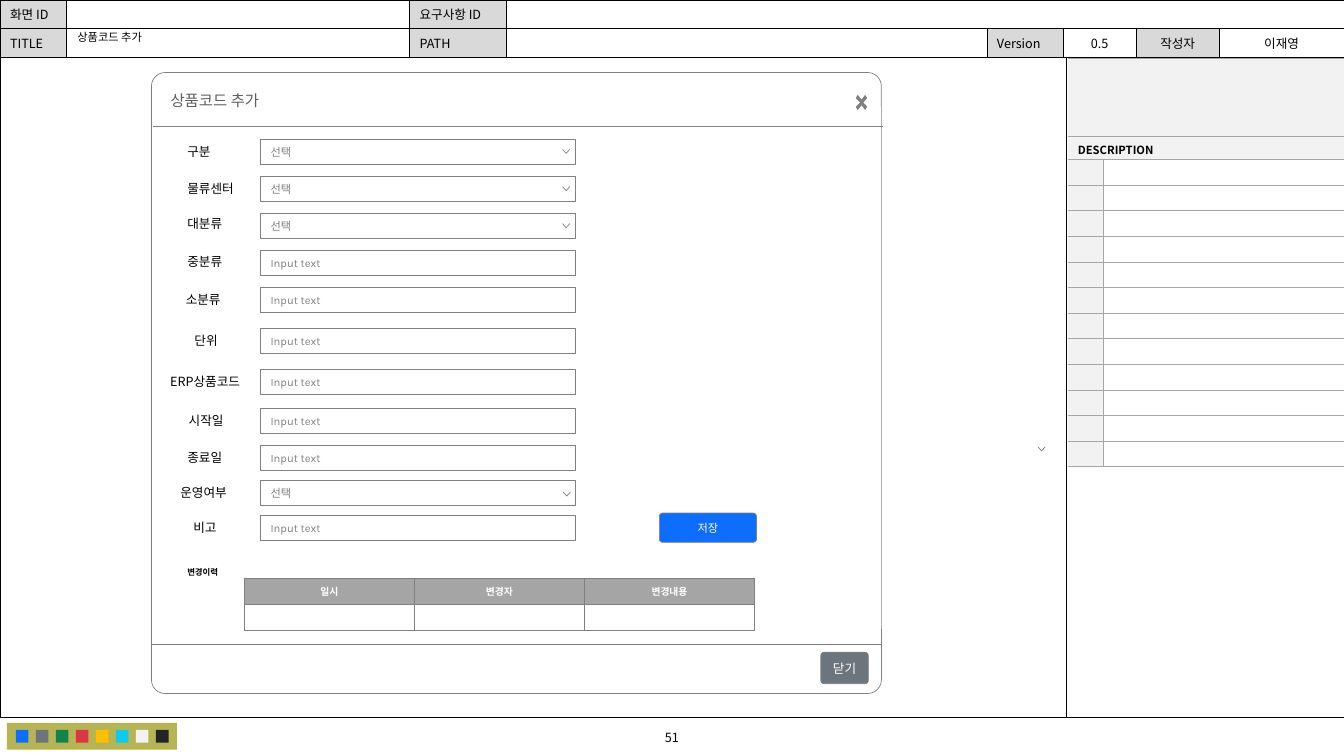
from dataclasses import dataclass

from lxml import etree
from pptx import Presentation
from pptx.dml.color import RGBColor
from pptx.enum.shapes import MSO_CONNECTOR, MSO_SHAPE
from pptx.enum.text import MSO_ANCHOR, PP_ALIGN
from pptx.oxml.ns import qn
from pptx.util import Pt

RECT, ROUND = MSO_SHAPE.RECTANGLE, MSO_SHAPE.ROUNDED_RECTANGLE
STRAIGHT = MSO_CONNECTOR.STRAIGHT
LEFT, CENTER = PP_ALIGN.LEFT, PP_ALIGN.CENTER
TOP, MIDDLE = MSO_ANCHOR.TOP, MSO_ANCHOR.MIDDLE
PLAIN_TABLE = "{2D5ABB26-0587-4C30-8999-92F81FD0307C}"


@dataclass(frozen=True)
class Theme:
    korean: str = "Noto Sans CJK KR"
    latin: str = "Karla"
    black: str = "000000"
    white: str = "FFFFFF"
    outline: str = "808080"
    heading: str = "5F5F5F"
    label_fill: str = "D9D9D9"
    pale: str = "F2F2F2"
    note_line: str = "A6A6A6"
    history_fill: str = "A5A5A5"
    blue: str = "0D6EFD"
    gray: str = "6C757D"
    olive: str = "B7B553"
    swatches: tuple = ("0D6EFD", "6C757D", "10834E", "DC3545",
                       "FFBE00", "0DCAF0", "F2F2F2", "212529")
    title: int = 11
    body: int = 9
    small: int = 8
    column: int = 7
    tiny: int = 6


theme = Theme()
deck = Presentation()
deck.slide_width, deck.slide_height = Pt(960), Pt(540)
page = deck.slides.add_slide(deck.slide_layouts[6])


def write(para, text, size, color=theme.black, align=LEFT, bold=False, face=theme.korean):
    para.alignment = align
    font = para.font
    font.name, font.size, font.bold = face, Pt(size), bold
    font.color.rgb = RGBColor.from_string(color)
    etree.SubElement(font._rPr, qn("a:ea"), typeface=theme.korean)
    if text:
        para.add_run().text = text
    else:
        etree.SubElement(para._p, qn("a:endParaRPr"), sz=str(size * 100))


def add_box(kind, left, top, width, height, fill=None, line=None, weight=0.5,
            insets=(7.2, 0, 7.2, 0), anchor=MIDDLE):
    """Add a preset shape, or a text box when kind is None."""
    place = [Pt(value) for value in (left, top, width, height)]
    if kind is None:
        box = page.shapes.add_textbox(*place)
    else:
        box = page.shapes.add_shape(kind, *place)
        box.shadow.inherit = False
        box.fill.background()
        box.line.fill.background()
    if fill:
        box.fill.solid()
        box.fill.fore_color.rgb = RGBColor.from_string(fill)
    if line:
        box.line.color.rgb = RGBColor.from_string(line)
        box.line.width = Pt(weight)
    frame = box.text_frame
    frame.word_wrap = True
    frame.vertical_anchor = anchor
    (frame.margin_left, frame.margin_top,
     frame.margin_right, frame.margin_bottom) = [Pt(inset) for inset in insets]
    return box


# Page frame, page number and colour palette
add_box(RECT, 0, 39.9, 960, 472.1, line=theme.black, weight=0.25)
number = add_box(None, 387, 517.7, 185.8, 18)
write(number.text_frame.paragraphs[0], "51", theme.body, align=CENTER)
add_box(RECT, 5, 516.4, 121.3, 19.1, fill=theme.olive)
for index, color in enumerate(theme.swatches):
    add_box(RECT, 11.3 + 14.3 * index, 521.3, 9, 9.3, fill=color)

# Dialog window
dialog = add_box(ROUND, 108.2, 51.8, 521.4, 443.6, theme.white, theme.outline,
                 insets=(10.8, 10.8, 7.2, 3.6), anchor=TOP)
dialog.adjustments[0] = 0.022
write(dialog.text_frame.paragraphs[0], "상품코드 추가", theme.title, theme.heading,
      face=theme.latin)

# Straight rules: side panel, dialog head, dialog foot
for x1, y1, x2, y2, color in ((761.8, 40.3, 761.8, 512, theme.black),
                              (109.2, 90.4, 630.6, 90.4, theme.outline),
                              (108.2, 460.3, 629.6, 460.3, theme.outline)):
    rule = page.shapes.add_connector(STRAIGHT, Pt(x1), Pt(y1), Pt(x2), Pt(y2))
    rule.line.color.rgb = RGBColor.from_string(color)
    rule.line.width = Pt(0.5)
    etree.SubElement(rule._element.spPr, qn("a:effectLst"))

# Close cross
cross = [(612.7, 67.7), (611.3, 70.1), (614.4, 73.2), (611.3, 76.3), (612.7, 78.6),
         (615.5, 75.2), (618, 78.6), (619.4, 76.3), (616.7, 73.2), (619.4, 70.1),
         (618, 67.7), (615.5, 71.2)]
corners = [(Pt(x), Pt(y)) for x, y in cross]
builder = page.shapes.build_freeform(*corners[0], scale=1.0)
builder.add_line_segments(corners[1:], close=True)
close_mark = builder.convert_to_shape()
close_mark.shadow.inherit = False
close_mark.fill.solid()
close_mark.fill.fore_color.rgb = RGBColor.from_string(theme.outline)
close_mark.line.fill.background()

# Form rows: label, label left, label top, field top, prompt
form = [
    ("구분", 126.7, 99, 99.2, "선택"),
    ("물류센터", 126.7, 125.3, 125.9, "선택"),
    ("대분류", 126.7, 150.5, 152.2, "선택"),
    ("중분류", 126.7, 177.8, 178.6, "Input text"),
    ("소분류", 125.6, 205.2, 205.3, "Input text"),
    ("단위", 131.8, 234, 234.6, "Input text"),
    ("ERP상품코드", 114.5, 263.5, 263.8, "Input text"),
    ("시작일", 127.7, 291.6, 291.8, "Input text"),
    ("종료일", 126.7, 318, 318.2, "Input text"),
    ("운영여부", 121.7, 342.4, 342.9, "선택"),
    ("비고", 131, 367.9, 368.2, "Input text"),
]
for label, label_left, label_top, field_top, prompt in form:
    caption = add_box(None, label_left, label_top, 70, 18)
    write(caption.text_frame.paragraphs[0], label, theme.body)
    field = add_box(RECT, 186.2, field_top, 225, 18, theme.white, theme.outline,
                    insets=(7.2, 0, 20.2, 0))
    write(field.text_frame.paragraphs[0], prompt, theme.small, theme.outline,
          face=theme.latin)

# Drop-down chevrons
for left, top in ((401.8, 106.7), (401.8, 133.3), (401.8, 159.8), (402.3, 351.4),
                  (741.4, 319.2)):
    builder = page.shapes.build_freeform(Pt(left + 5.2), Pt(top), scale=1.0)
    builder.add_line_segments([(Pt(left + 2.6), Pt(top + 2.9)), (Pt(left), Pt(top))],
                              close=False)
    chevron = builder.convert_to_shape()
    chevron.shadow.inherit = False
    chevron.fill.solid()
    chevron.fill.fore_color.rgb = RGBColor.from_string(theme.white)
    chevron.line.color.rgb = RGBColor.from_string(theme.outline)
    chevron.line.width = Pt(0.5)

# Buttons
for text, left, top, width, height, fill, size in (
        ("저장", 471, 366.5, 69.4, 20.9, theme.blue, theme.small),
        ("닫기", 586.3, 465.9, 34, 22.5, theme.gray, theme.body)):
    button = add_box(ROUND, left, top, width, height, fill, theme.outline)
    button.adjustments[0] = 0.11
    write(button.text_frame.paragraphs[0], text, size, theme.white, CENTER, face=theme.latin)

# Tables: left, top, widths, heights, texts, merges, line colour, line width
header = (0, 0, [47.5, 245, 69, 343.5, 54.5, 52, 59.5, 89], [20.2, 20.5],
          [["화면 ID", "", "요구사항 ID", ""] + [""] * 4,
           ["TITLE", "", "PATH", "", "Version", "0.5", "작성자", "이재영"]],
          [(0, 3, 7)], theme.black, 0.5)
history = (174.5, 413, [121.5] * 3, [18.3, 18.6],
           [["일시", "변경자", "변경내용"], [""] * 3], [], theme.outline, 0.25)
notes = (762.7, 41.8, [25.5, 171.8], [55.6, 16.5] + [18.3] * 12,
         [["", ""], ["DESCRIPTION", ""]] + [["", ""]] * 12,
         [(0, 0, 1), (1, 0, 1)], theme.note_line, 0.5)

for spec in (header, history, notes):
    left, top, widths, heights, texts, merges, line_color, weight = spec
    table = page.shapes.add_table(len(heights), len(widths), Pt(left), Pt(top),
                                  Pt(sum(widths)), Pt(sum(heights))).table
    table.first_row = table.horz_banding = False
    table._tbl.tblPr.find(qn("a:tableStyleId")).text = PLAIN_TABLE
    for column, width in zip(table.columns, widths):
        column.width = Pt(width)
    for row, height in zip(table.rows, heights):
        row.height = Pt(height)
    for row, first, last in merges:
        table.cell(row, first).merge(table.cell(row, last))

    for row, row_texts in enumerate(texts):
        for col, text in enumerate(row_texts):
            if spec is header:
                fill = theme.label_fill if col in (0, 2, 4, 6) and text else theme.white
                style = (theme.body, theme.black, CENTER if col > 4 else LEFT, False)
                sides = "LRTB"
            elif spec is history:
                fill = theme.white if row else theme.history_fill
                style = (theme.column, theme.white, CENTER, True)
                sides = "LRTB"
            else:
                fill = theme.white if col else theme.pale
                style = (theme.small, theme.black, LEFT, True)
                sides = "LTB" if col else "TB"
            cell = table.cell(row, col)
            cell.vertical_anchor = MIDDLE
            cell.margin_left = cell.margin_right = Pt(7.2)
            cell.margin_top = Pt(3 if spec is notes else 1)
            cell.margin_bottom = Pt(1)
            if not cell.is_spanned:
                for side in sides:
                    edge = etree.SubElement(cell._tc.get_or_add_tcPr(), qn("a:ln" + side),
                                            w=str(Pt(weight)))
                    paint = etree.SubElement(edge, qn("a:solidFill"))
                    etree.SubElement(paint, qn("a:srgbClr"), val=line_color)
            cell.fill.solid()
            cell.fill.fore_color.rgb = RGBColor.from_string(fill)
            write(cell.text_frame.paragraphs[0], text, *style)

# Screen title and history heading
screen_title = add_box(None, 48.2, 20, 243.4, 14.4)
write(screen_title.text_frame.paragraphs[0], "상품코드 추가", theme.small)
screen_title.text_frame.paragraphs[0].line_spacing = 0.9
history_title = add_box(None, 126.7, 401.6, 50, 14.4)
write(history_title.text_frame.paragraphs[0], "변경이력", theme.tiny, bold=True)

deck.save("out.pptx")
